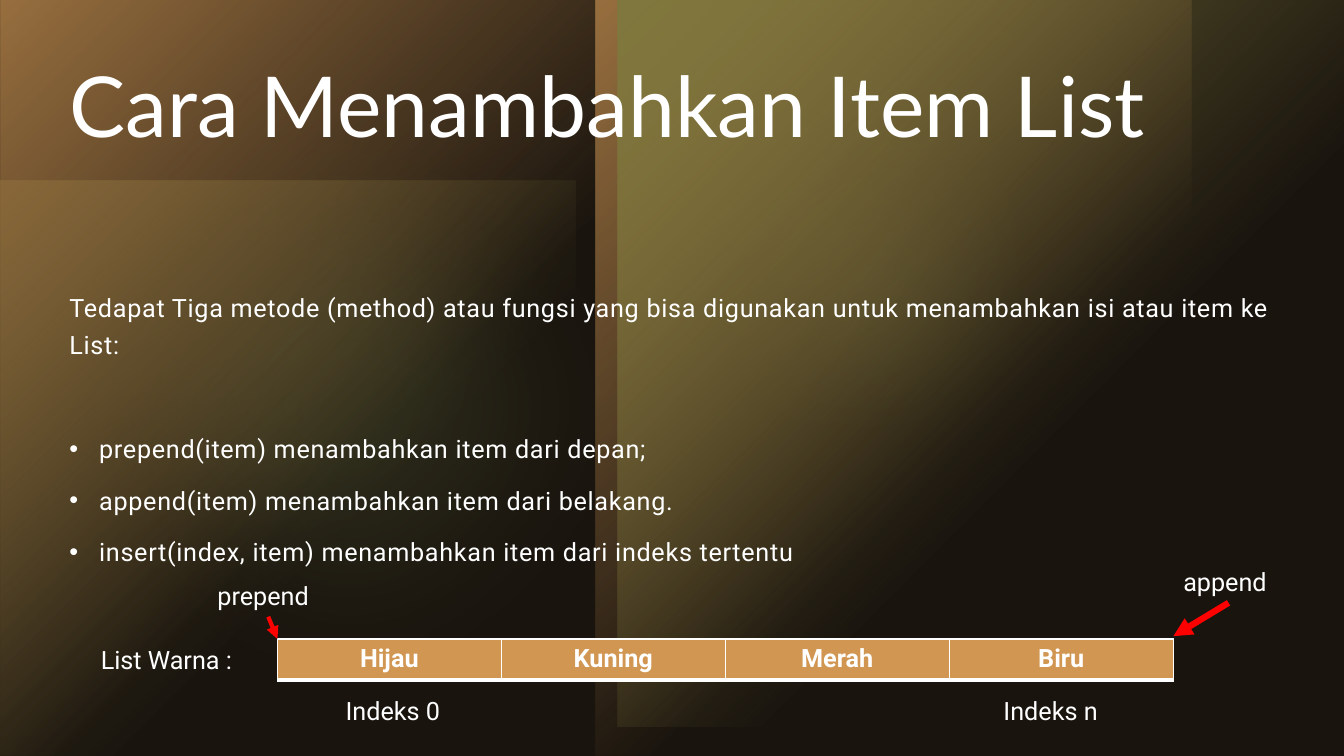
from lxml import etree
from pptx import Presentation
from pptx.dml.color import RGBColor
from pptx.enum.shapes import MSO_CONNECTOR, MSO_SHAPE
from pptx.enum.text import MSO_ANCHOR, MSO_AUTO_SIZE, PP_ALIGN
from pptx.oxml import parse_xml
from pptx.oxml.ns import qn
from pptx.util import Cm, Pt

RECT, OVAL = MSO_SHAPE.RECTANGLE, MSO_SHAPE.OVAL
LINE = MSO_CONNECTOR.STRAIGHT
LEFT, CENTER = PP_ALIGN.LEFT, PP_ALIGN.CENTER
TOP = MSO_ANCHOR.TOP
FIXED, GROW = MSO_AUTO_SIZE.NONE, MSO_AUTO_SIZE.SHAPE_TO_FIT_TEXT

COLORS = {"text": "FFFFFF", "base": "000000", "orange": "D19651",
          "olive": "A9A64F", "green": "90AB63", "veil": "413424",
          "arrow": "FF0000"}
NS = 'xmlns:a="http://schemas.openxmlformats.org/drawingml/2006/main"'
INTRO = ("Tedapat Tiga metode (method) atau fungsi yang bisa digunakan "
         "untuk menambahkan isi atau item ke List:")
METHODS = ["prepend(item) menambahkan item dari depan;",
           "append(item) menambahkan item dari belakang.",
           "insert(index, item) menambahkan item dari indeks tertentu"]
ITEMS = ["Hijau", "Kuning", "Merah", "Biru"]


def rgb(name):
    return RGBColor.from_string(COLORS[name])


def cms(*sizes):
    return [Cm(round(size, 2)) for size in sizes]


def style(para, size=18, font="Roboto", bold=False):
    for run in para.runs:
        run.font.size = Pt(size)
        run.font.name = font
        run.font.bold = bold
        run.font.color.rgb = rgb("text")


def tint(name, alpha):
    return (f'<a:srgbClr val="{COLORS[name]}">'
            f'<a:alpha val="{alpha * 1000}"/></a:srgbClr>')


def solid(name, alpha):
    return f"<a:solidFill {NS}>{tint(name, alpha)}</a:solidFill>"


def fade(name, stops):
    marks = "".join(f'<a:gs pos="{pos * 1000}">{tint(name, alpha)}</a:gs>'
                    for pos, alpha in stops)
    return (f'<a:gradFill {NS}><a:gsLst>{marks}</a:gsLst><a:path path="circle">'
            '<a:fillToRect r="100000" b="100000"/></a:path></a:gradFill>')


def panel(slide, kind, box, fill, turn=0, flips=(), soft=0):
    shape = slide.shapes.add_shape(kind, *cms(*box))
    shape.shadow.inherit = False
    shape.line.fill.background()
    shape.fill.background()
    shape.rotation = turn
    props = shape.element.spPr
    props.replace(props.find(qn("a:noFill")), parse_xml(fill))
    for flip in flips:
        props.find(qn("a:xfrm")).set(flip, "1")
    if soft:
        edge = etree.SubElement(props.find(qn("a:effectLst")), qn("a:softEdge"))
        edge.set("rad", str(Pt(soft)))


def backdrop(slide, x, y, w, h):
    slide.background.fill.solid()
    slide.background.fill.fore_color.rgb = rgb("base")
    up, both = ["flipV"], ["flipH", "flipV"]
    glow = [(0, 100), (60, 0)]
    # Lower olive square and soft green spots
    panel(slide, RECT, (x, y + h - 14.5, 14.5, 14.5),
          fade("olive", [(0, 60), (60, 0)]), flips=up)
    panel(slide, OVAL, (x + 15.98, y + 1.09, 11.99, 11.99),
          solid("green", 60), flips=up, soft=100)
    panel(slide, OVAL, (x, y + 1.42, 17.63, 17.63),
          solid("green", 20), flips=up, soft=100)
    # Twin orange panels, upper olive square, dark veil
    for left, flips in [(x, up), (x + 15.01, both)]:
        panel(slide, RECT, (left, y, 15.01, h), fade("orange", glow), 180, flips)
    panel(slide, RECT, (x + 15.57, y, 18.31, 18.31), fade("olive", glow), 180, up)
    panel(slide, RECT, (x, y, w, h), solid("veil", 40))


def heading(slide, x, y, w, h):
    title = slide.shapes.title
    slide.shapes.element.append(title.element)
    title.left, title.top, title.width, title.height = cms(x, y, w, h)
    frame = title.text_frame
    frame.text = "Cara Menambahkan Item List"
    frame.vertical_anchor = TOP
    frame.auto_size = FIXED
    para = frame.paragraphs[0]
    para.alignment = LEFT
    para.line_spacing = 0.9
    style(para, 60, "Lato")


def body(slide, x, y, w, h):
    frame = slide.shapes.add_textbox(*cms(x, y, w, h)).text_frame
    frame.word_wrap = True
    for i, text in enumerate([INTRO] + METHODS):
        para = frame.paragraphs[0] if i == 0 else frame.add_paragraph()
        para.text = text
        para.line_spacing = 1.25
        para.space_before = Pt(47 if i == 1 else 10)
        style(para)
        for run in para.runs:
            run.font.element.set("spc", "50") if hasattr(run.font, "element") \
                else run._r.get_or_add_rPr().set("spc", "50")
        if i:
            props = para._p.get_or_add_pPr()
            props.set("marL", str(Cm(0.75)))
            props.set("indent", str(Cm(-0.75)))
            etree.SubElement(props, qn("a:buFont")).set("typeface", "Arial")
            etree.SubElement(props, qn("a:buChar")).set("char", "•")


def label(slide, text, x, y, w):
    frame = slide.shapes.add_textbox(*cms(x, y, w, 1.03)).text_frame
    frame.word_wrap = False
    frame.auto_size = GROW
    frame.text = text
    style(frame.paragraphs[0])


def arrow(slide, start, end, width):
    line = slide.shapes.add_connector(LINE, *cms(*start, *end))
    line.line.color.rgb = rgb("arrow")
    line.line.width = Pt(width)
    props = line.element.spPr
    etree.SubElement(props.find(qn("a:ln")), qn("a:tailEnd")).set("type", "triangle")
    etree.SubElement(props, qn("a:effectLst"))


def border(cell):
    props = cell._tc.get_or_add_tcPr()
    for i, (side, width) in enumerate([("L", 1), ("R", 1), ("T", 1), ("B", 3)]):
        props.insert(i, parse_xml(
            f'<a:ln{side} {NS} w="{Pt(width)}">{solid("text", 100)}</a:ln{side}>'))


def diagram(slide, x, y, w, h):
    # Item row
    table = slide.shapes.add_table(1, len(ITEMS), *cms(x, y, w, h)).table
    for cell, item in zip(table.rows[0].cells, ITEMS):
        cell.text = item
        cell.fill.solid()
        cell.fill.fore_color.rgb = rgb("orange")
        border(cell)
        para = cell.text_frame.paragraphs[0]
        para.alignment = CENTER
        style(para, bold=True)
    # Labels around the row
    end = x + w
    for text, left, top, wide in [
            ("List Warna :", x - 4.7, y, 3.89),
            ("Indeks 0", x + 1.47, y + 1.3, 2.97),
            ("Indeks n", end - 4.53, y + 1.3, 2.97),
            ("append", end, y - 1.95, 2.82),
            ("prepend", x - 1.76, y - 1.6, 3.05)]:
        label(slide, text, left, top, wide)
    # Arrows to both ends
    arrow(slide, (x - 0.23, y - 0.56), (x, y), 3)
    arrow(slide, (end + 1.39, y - 0.91), (end, y - 0.07), 4.5)


def main():
    deck = Presentation()
    deck.slide_width, deck.slide_height = cms(33.87, 19.05)
    slide = deck.slides.add_slide(deck.slide_layouts[5])
    backdrop(slide, 0, 0, 33.87, 19.05)
    heading(slide, 1.5, 1.5, 30.84, 5.03)
    body(slide, 1.5, 7.04, 30.84, 10.49)
    diagram(slide, 6.99, 16.1, 22.58, 1.04)
    deck.save("out.pptx")


if __name__ == "__main__":
    main()
